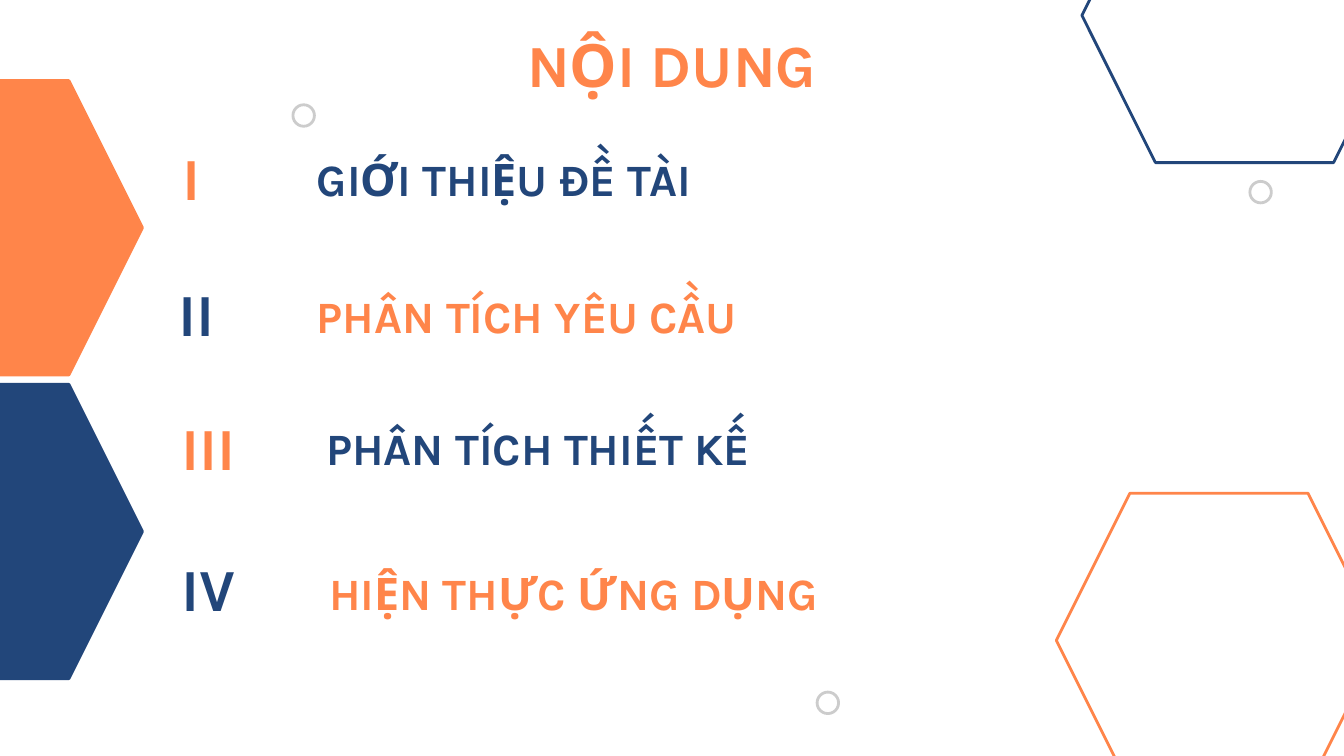
from pptx import Presentation
from pptx.dml.color import RGBColor
from pptx.enum.shapes import MSO_SHAPE as Shape
from pptx.enum.text import MSO_ANCHOR as Anchor, PP_ALIGN as Align
from pptx.util import Inches, Pt

ORANGE, NAVY, GRAY, WHITE = "FF854A", "22467A", "CCCCCC", "FFFFFF"
SLIDE_WIDTH, SLIDE_HEIGHT = Inches(10), Inches(10) * 9 // 16
HEXAGON_SIZE = (2.42, 2.19)
RING_SIZE = (0.16, 0.16)


def color(value):
    return RGBColor.from_string(value)


def add_outline(page, kind, left, top, size, line, fill=None):
    shape = page.shapes.add_shape(kind, *map(Inches, (left, top, *size)))
    shape.shadow.inherit = False
    if fill:
        shape.fill.solid()
        shape.fill.fore_color.rgb = color(fill)
    else:
        shape.fill.background()
    shape.line.color.rgb = color(line)
    shape.line.width = Pt(1.5)


def add_text(page, text, box, size, ink, anchor=Anchor.TOP, align=Align.LEFT):
    label = page.shapes.add_textbox(*map(Inches, box))
    frame = label.text_frame
    frame.word_wrap = True
    frame.vertical_anchor = anchor
    frame.margin_left = frame.margin_right = Inches(0.1)
    frame.margin_top = frame.margin_bottom = Inches(0.1)
    para = frame.paragraphs[0]
    para.alignment = align
    span = para.add_run()
    span.text = text
    span.font.name = "Karla"
    span.font.size = Pt(size)
    span.font.bold = True
    span.font.color.rgb = color(ink)


def add_agenda(page):
    entries = [
        ("I", (1.26, 1.09, 0.95, 0.45), "GIỚI THIỆU ĐỀ TÀI", (2.26, 1.03, 3.72, 0.5)),
        ("II", (1.23, 2.03, 0.95, 0.6), "PHÂN TÍCH YÊU CẦU", (2.26, 2.05, 6.88, 0.63)),
        ("III", (1.25, 3.02, 0.95, 0.6), "PHÂN TÍCH THIẾT KẾ", (2.33, 3.03, 5.63, 0.74)),
        ("IV", (1.25, 4.11, 0.95, 0.53), "HIỆN THỰC ỨNG DỤNG", (2.35, 4.11, 3.9, 0.45)),
    ]
    for index, (numeral, numeral_box, topic, topic_box) in enumerate(entries):
        numeral_ink, topic_ink = (NAVY, ORANGE) if index % 2 else (ORANGE, NAVY)
        add_text(page, topic, topic_box, 24, topic_ink)
        add_text(page, numeral, numeral_box, 32, numeral_ink, Anchor.MIDDLE)


def add_decoration(page):
    for left, top, line, fill in [
        (7.86, 3.67, ORANGE, None),
        (-1.36, 0.6, ORANGE, ORANGE),
        (-1.36, 2.86, NAVY, NAVY),
        (8.05, -0.98, NAVY, None),
    ]:
        add_outline(page, Shape.HEXAGON, left, top, HEXAGON_SIZE, line, fill)
    for left, top in [(6.08, 5.15), (2.18, 0.78), (9.3, 1.35)]:
        add_outline(page, Shape.OVAL, left, top, RING_SIZE, GRAY)


def main():
    deck = Presentation()
    deck.slide_width, deck.slide_height = SLIDE_WIDTH, SLIDE_HEIGHT
    page = deck.slides.add_slide(deck.slide_layouts[6])
    page.background.fill.solid()
    page.background.fill.fore_color.rgb = color(WHITE)
    add_decoration(page)
    add_text(page, "NỘI DUNG", (0, 0.11, 10, 0.81), 32, ORANGE, align=Align.CENTER)
    add_agenda(page)
    deck.save("out.pptx")


if __name__ == "__main__":
    main()
